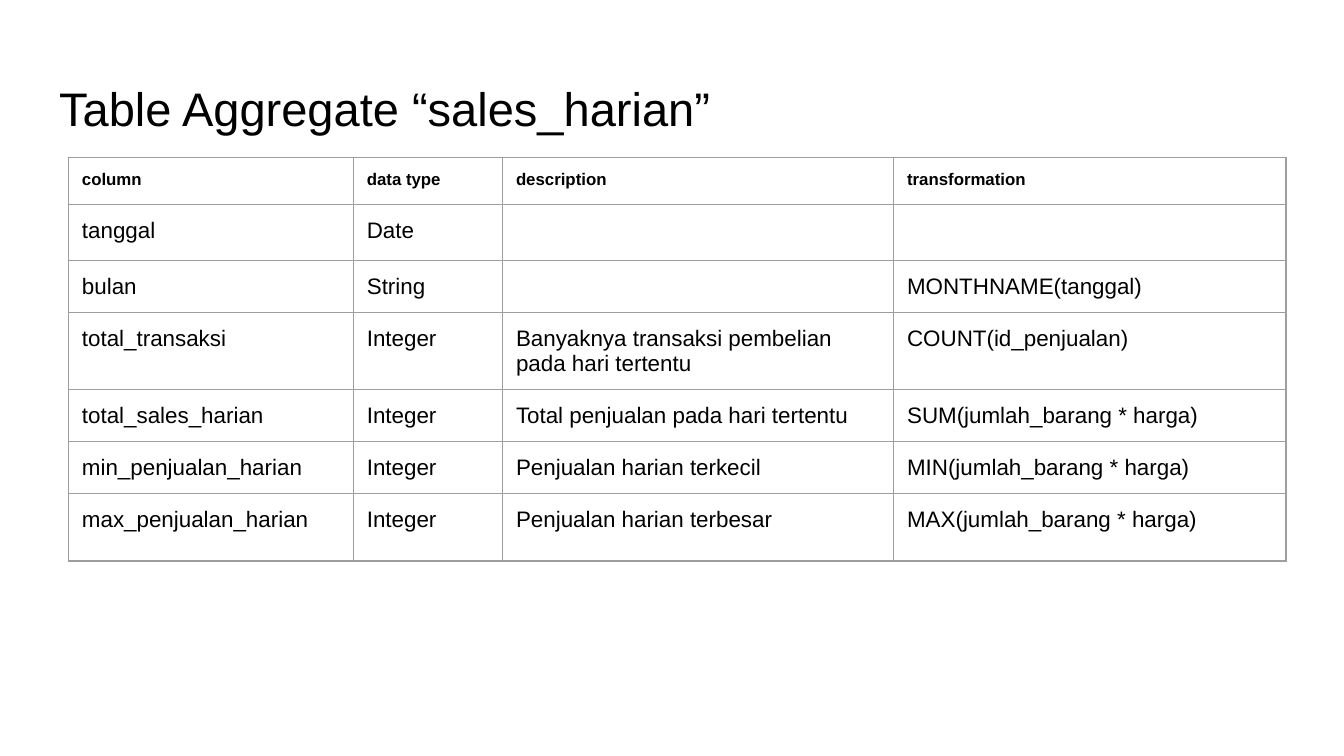
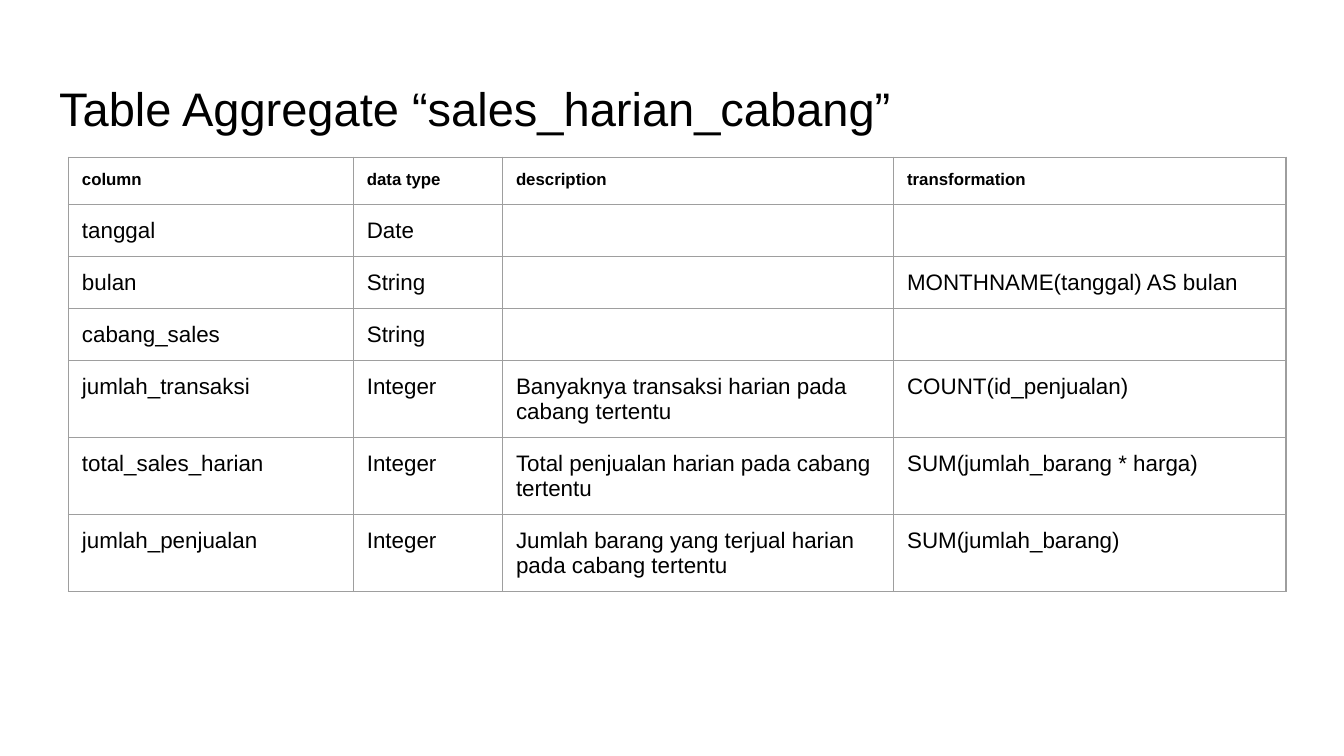
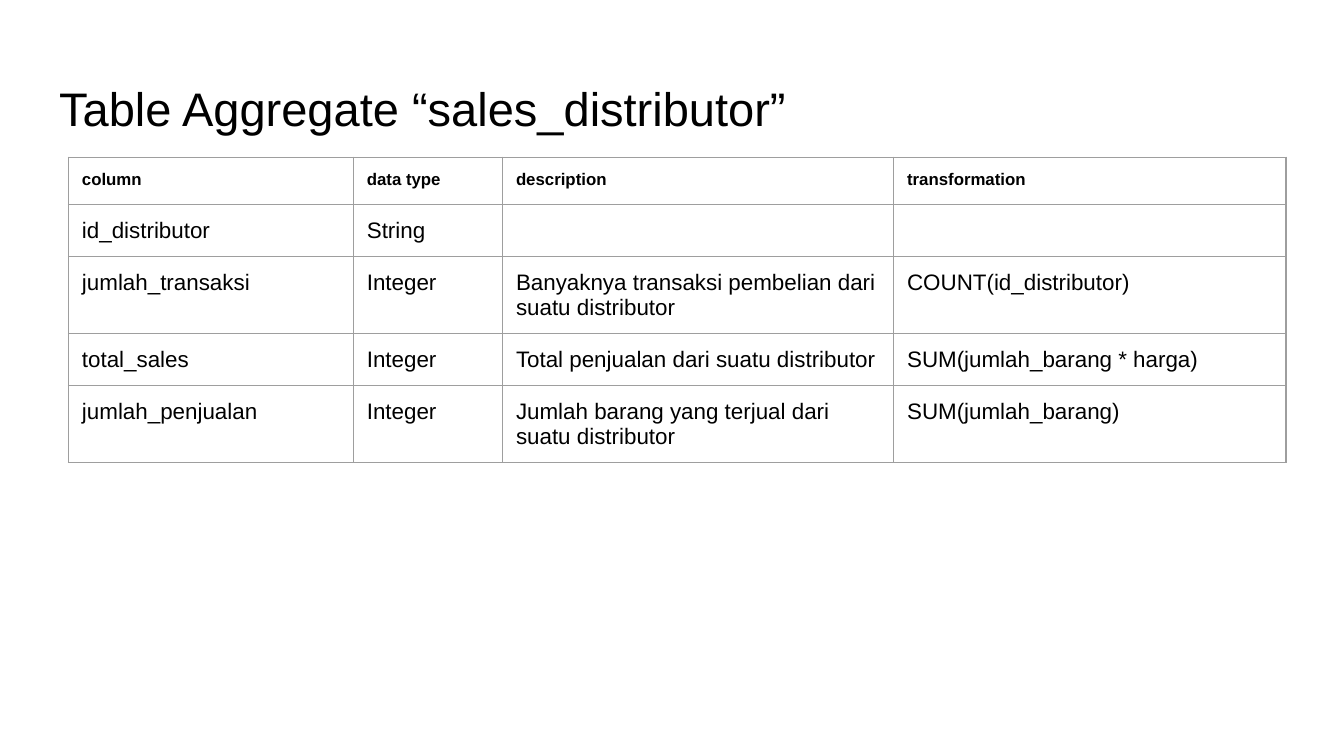
import pptx
import pptx.util
import pptx.dml.color
import pptx.enum.text
import pptx.oxml

Inches = pptx.util.Inches
Pt = pptx.util.Pt
BLACK = pptx.dml.color.RGBColor(0x00, 0x00, 0x00)
GREY = pptx.dml.color.RGBColor(0x9E, 0x9E, 0x9E)
FACE = "Arial"
SPACE = "http://schemas.openxmlformats.org/drawingml/2006/main"

# Shared table layout
HEAD = ("column", "data type", "description", "transformation")
WIDTHS = (2.12, 1.11, 2.91, 2.92)
ROW = 0.35

# Each slide: table name, taller rows, fields
SLIDES = [
    ("sales_harian", {1: 0.42, 6: 0.5}, [
        ("tanggal", "Date", "", ""),
        ("bulan", "String", "", "MONTHNAME(tanggal)"),
        ("total_transaksi", "Integer",
         "Banyaknya transaksi pembelian pada hari tertentu", "COUNT(id_penjualan)"),
        ("total_sales_harian", "Integer",
         "Total penjualan pada hari tertentu", "SUM(jumlah_barang * harga)"),
        ("min_penjualan_harian", "Integer",
         "Penjualan harian terkecil", "MIN(jumlah_barang * harga)"),
        ("max_penjualan_harian", "Integer",
         "Penjualan harian terbesar", "MAX(jumlah_barang * harga)"),
    ]),
    ("sales_harian_cabang", {}, [
        ("tanggal", "Date", "", ""),
        ("bulan", "String", "", "MONTHNAME(tanggal) AS bulan"),
        ("cabang_sales", "String", "", ""),
        ("jumlah_transaksi", "Integer",
         "Banyaknya transaksi harian pada cabang tertentu", "COUNT(id_penjualan)"),
        ("total_sales_harian", "Integer",
         "Total penjualan harian pada cabang tertentu", "SUM(jumlah_barang * harga)"),
        ("jumlah_penjualan", "Integer",
         "Jumlah barang yang terjual harian pada cabang tertentu", "SUM(jumlah_barang)"),
    ]),
    ("sales_distributor", {}, [
        ("id_distributor", "String", "", ""),
        ("jumlah_transaksi", "Integer",
         "Banyaknya transaksi pembelian dari suatu distributor", "COUNT(id_distributor)"),
        ("total_sales", "Integer",
         "Total penjualan dari suatu distributor", "SUM(jumlah_barang * harga)"),
        ("jumlah_penjualan", "Integer",
         "Jumlah barang yang terjual dari suatu distributor", "SUM(jumlah_barang)"),
    ]),
]


def style(para, size, bold=False):
    para.font.name = FACE
    para.font.size = Pt(size)
    para.font.bold = bold
    para.font.color.rgb = BLACK


def inset(item):
    item.margin_left = item.margin_right = Inches(0.1)
    item.margin_top = item.margin_bottom = Inches(0.1)


# Widescreen, 16:9
deck = pptx.Presentation()
deck.slide_width = Inches(10)
deck.slide_height = Inches(10 * 9 / 16)

for name, tall, fields in SLIDES:
    slide = deck.slides.add_slide(deck.slide_layouts[5])

    # Title
    title = slide.shapes.title
    title.left, title.top = Inches(0.34), Inches(0.49)
    title.width, title.height = Inches(9.32), Inches(0.63)
    frame = title.text_frame
    frame.text = f"Table Aggregate “{name}”"
    frame.word_wrap = True
    frame.auto_size = pptx.enum.text.MSO_AUTO_SIZE.NONE
    frame.vertical_anchor = pptx.enum.text.MSO_ANCHOR.MIDDLE
    inset(frame)
    frame.paragraphs[0].alignment = pptx.enum.text.PP_ALIGN.LEFT
    style(frame.paragraphs[0], 25.2)

    # Table grid
    rows = [HEAD] + fields
    sizes = [tall.get(r, ROW) for r in range(len(rows))]
    table = slide.shapes.add_table(
        len(rows), len(HEAD), Inches(0.51), Inches(1.17),
        Inches(sum(WIDTHS)), Inches(sum(sizes))).table
    table.first_row = table.horz_banding = False
    for col, width in zip(table.columns, WIDTHS):
        col.width = Inches(width)
    for line, size in zip(table.rows, sizes):
        line.height = Inches(size)

    # Cells
    for r, row in enumerate(rows):
        for c, text in enumerate(row):
            cell = table.cell(r, c)
            cell.text = text
            inset(cell)
            para = cell.text_frame.paragraphs[0]
            style(para, 12 if r else 9, bold=r == 0)
            if not text:
                para._p.get_or_add_endParaRPr().set("sz", "1200")
            props = cell._tc.get_or_add_tcPr()
            for side in ("lnL", "lnR", "lnT", "lnB"):
                props.append(pptx.oxml.parse_xml(
                    f'<a:{side} xmlns:a="{SPACE}" w="{Pt(0.75)}"><a:solidFill>'
                    f'<a:srgbClr val="{GREY}"/></a:solidFill></a:{side}>'))
            cell.fill.background()

deck.save("out.pptx")
